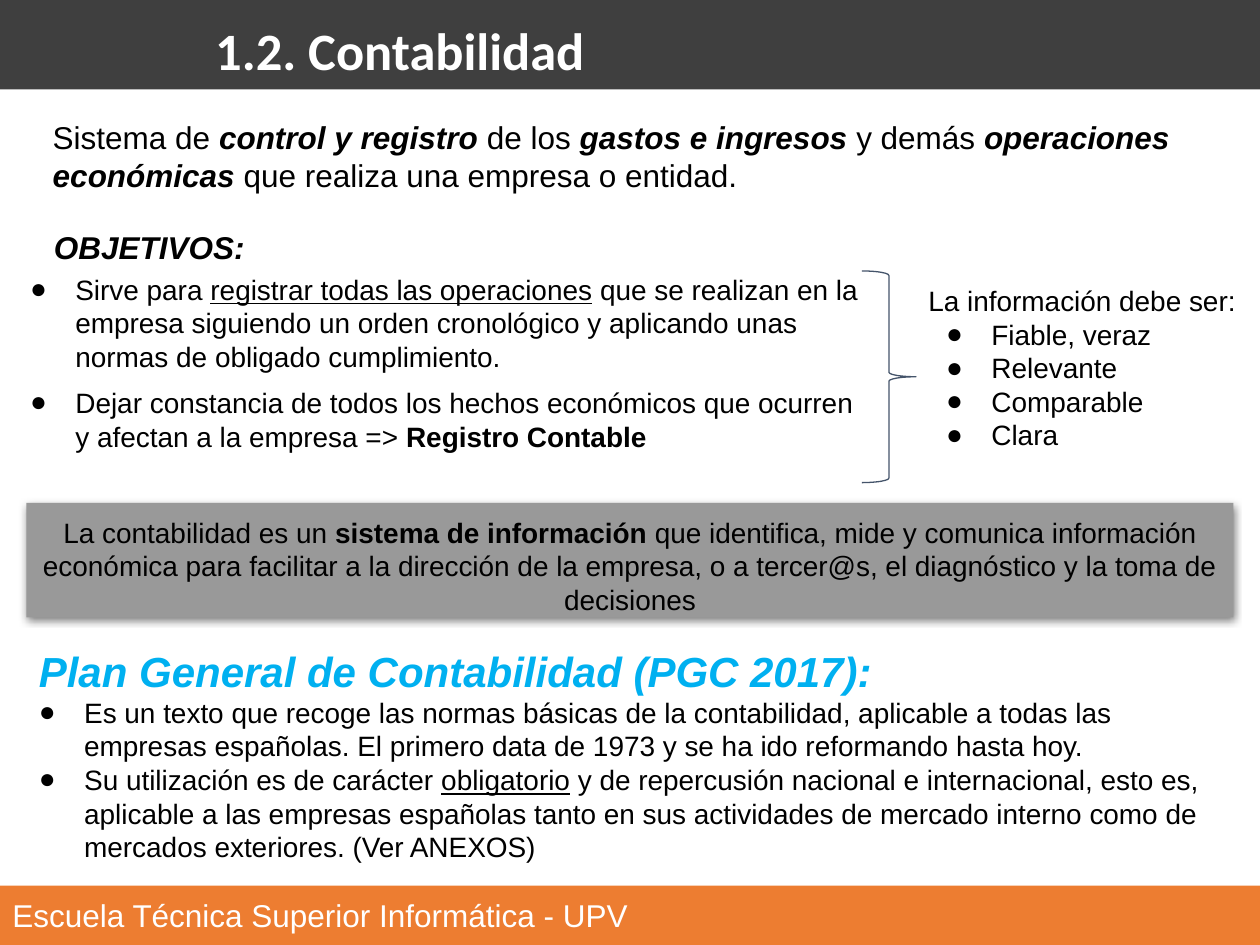
from dataclasses import dataclass
from typing import NamedTuple

from lxml import etree
from pptx import Presentation
from pptx.dml.color import RGBColor
from pptx.enum.shapes import MSO_SHAPE
from pptx.enum.text import MSO_ANCHOR, PP_ALIGN
from pptx.oxml.ns import qn
from pptx.util import Inches, Pt

RECT, BRACE = MSO_SHAPE.RECTANGLE, MSO_SHAPE.RIGHT_BRACE
TOP, MIDDLE = MSO_ANCHOR.TOP, MSO_ANCHOR.MIDDLE
LEFT, CENTER = PP_ALIGN.LEFT, PP_ALIGN.CENTER

BLACK, WHITE, BLUE = "000000", "FFFFFF", "00B0F0"
DARK, ORANGE, GRAY, SLATE = "3F3F3F", "ED7D31", "999999", "44546A"
HANG = 0.36  # bullet hang, inches
MARKS = {"b": "bold", "i": "italic", "u": "underline"}


class Area(NamedTuple):
    """Left, top, width and height in percent of the slide."""
    x: float
    y: float
    w: float
    h: float


class Run(NamedTuple):
    text: str
    marks: str = ""


@dataclass
class Para:
    runs: list[Run]
    size: int = 16
    color: str = BLACK
    face: str = "Arial"
    indent: float = 0  # inches; above zero the paragraph has a bullet
    lead: float = 1
    align: PP_ALIGN = LEFT


@dataclass
class Block:
    area: Area
    paras: list[Para]
    fill: str = ""
    anchor: MSO_ANCHOR = TOP
    raised: bool = False


def rgb(code: str) -> RGBColor:
    return RGBColor.from_string(code)


def node(parent, tag: str, **attrs: str):
    return etree.SubElement(parent, qn(tag), attrs)


def assign(item, values: dict) -> None:
    for name, value in values.items():
        setattr(item, name, value)


def place(area: Area) -> list[int]:
    sides = (deck.slide_width, deck.slide_height) * 2
    return [round(side * share / 100) for side, share in zip(sides, area)]


def add_bullet(para, indent: float) -> None:
    props = para._p.get_or_add_pPr()
    props.set("marL", str(Inches(indent)))
    props.set("indent", str(-Inches(HANG)))
    node(node(props, "a:buClr"), "a:srgbClr", val=BLACK)
    node(props, "a:buFont", typeface="Arial")
    node(props, "a:buChar", char="●")


def add_shadow(shape) -> None:
    effects = shape._element.spPr.find(qn("a:effectLst"))
    outer = node(effects, "a:outerShdw", blurRad=str(Pt(4.5)),
                 dist=str(Pt(1.5)), dir="5400000", rotWithShape="0")
    node(node(outer, "a:srgbClr", val=BLACK), "a:alpha", val="50000")


def write(frame, block: Block) -> None:
    margins = {f"margin_{side}": Inches(0.1)
               for side in ("left", "top", "right", "bottom")}
    assign(frame, {"word_wrap": True, "vertical_anchor": block.anchor, **margins})
    for index, item in enumerate(block.paras):
        para = frame.add_paragraph() if index else frame.paragraphs[0]
        assign(para, {"alignment": item.align, "line_spacing": item.lead})
        if item.indent:
            add_bullet(para, item.indent)
        for text, marks in item.runs:
            run = para.add_run()
            run.text = text
            look = {"size": Pt(item.size), "name": item.face}
            look.update({MARKS[mark]: True for mark in marks})
            assign(run.font, look)
            run.font.color.rgb = rgb(item.color)


def draw(block: Block) -> None:
    if block.fill:
        shape = slide.shapes.add_shape(RECT, *place(block.area))
        shape.shadow.inherit = False
        shape.fill.solid()
        shape.fill.fore_color.rgb = rgb(block.fill)
        shape.line.fill.background()
        if block.raised:
            add_shadow(shape)
    else:
        shape = slide.shapes.add_textbox(*place(block.area))
    write(shape.text_frame, block)


def draw_brace(area: Area) -> None:
    brace = slide.shapes.add_shape(BRACE, *place(area))
    brace.shadow.inherit = False
    brace.fill.background()
    brace.line.color.rgb = rgb(SLATE)
    brace.line.width = Pt(0.75)
    brace.adjustments[0] = 0.083
    brace.adjustments[1] = 0.5


deck = Presentation()
deck.slide_width, deck.slide_height = Inches(10), Inches(7.5)
slide = deck.slides.add_slide(deck.slide_layouts[6])

BLOCKS = [
    Block(Area(0, 0, 100, 9.47), [], DARK),
    Block(Area(0, 93.73, 100, 6.27),
          [Para([Run("Escuela Técnica Superior Informática - UPV")], 18, WHITE)],
          ORANGE, MIDDLE),
    Block(Area(16.1, 0, 76.1, 10),
          [Para([Run("1.2. Contabilidad", "b")], 30, WHITE, "Calibri", lead=1.08)]),
    Block(Area(3.2, 11.2, 95.8, 12.13), [Para([
        Run("Sistema de "), Run("control y registro ", "bi"),
        Run("de los "), Run("gastos e ingresos ", "bi"),
        Run("y demás "), Run("operaciones económicas", "bi"),
        Run(" que realiza una empresa o entidad.")], 18)]),
    Block(Area(3.3, 22, 32.8, 6.93),
          [Para([Run("OBJETIVOS:", "bi")], 18, lead=1.2)]),
    Block(Area(0, 27.47, 69.8, 16.27), [Para([
        Run("Sirve para "), Run("registrar todas las operaciones", "u"),
        Run(" que se realizan en la empresa siguiendo un orden cronológico"
            " y aplicando unas normas de obligado cumplimiento.")], indent=0.5)]),
    Block(Area(0, 39.47, 69.8, 10), [Para([
        Run("Dejar constancia de todos los hechos económicos que ocurren"
            " y afectan a la empresa =>"),
        Run(" Registro Contable", "b")], indent=0.5)]),
    Block(Area(72.7, 28.67, 32.8, 22.4), [
        Para([Run("La información debe ser:")]),
        *(Para([Run(trait)], indent=0.5)
          for trait in ("Fiable, veraz", "Relevante", "Comparable", "Clara"))]),
    Block(Area(2.1, 53.2, 95.8, 12.13), [Para([
        Run("La contabilidad es un "), Run("sistema de información ", "b"),
        Run("que identifica, mide y comunica información económica para"
            " facilitar a la dirección de la empresa, o a tercer@s, el"
            " diagnóstico y la toma de decisiones")], align=CENTER)],
          GRAY, raised=True),
    Block(Area(2.1, 66.93, 95.8, 25.87), [
        Para([Run("Plan General de Contabilidad (PGC 2017):", "bi")], 24, BLUE),
        Para([Run("Es un texto que recoge las normas básicas de la contabilidad,"
                  " aplicable a todas las empresas españolas. El primero data de"
                  " 1973 y se ha ido reformando hasta hoy.")], indent=HANG),
        Para([Run("Su utilización es de carácter "), Run("obligatorio", "u"),
              Run(" y de repercusión nacional e internacional, esto es, aplicable"
                  " a las empresas españolas tanto en sus actividades de mercado"
                  " interno como de mercados exteriores. (Ver ANEXOS)")],
             indent=HANG)]),
]

for block in BLOCKS:
    draw(block)
draw_brace(Area(68.4, 28.67, 4.3, 22.4))
deck.save("out.pptx")
